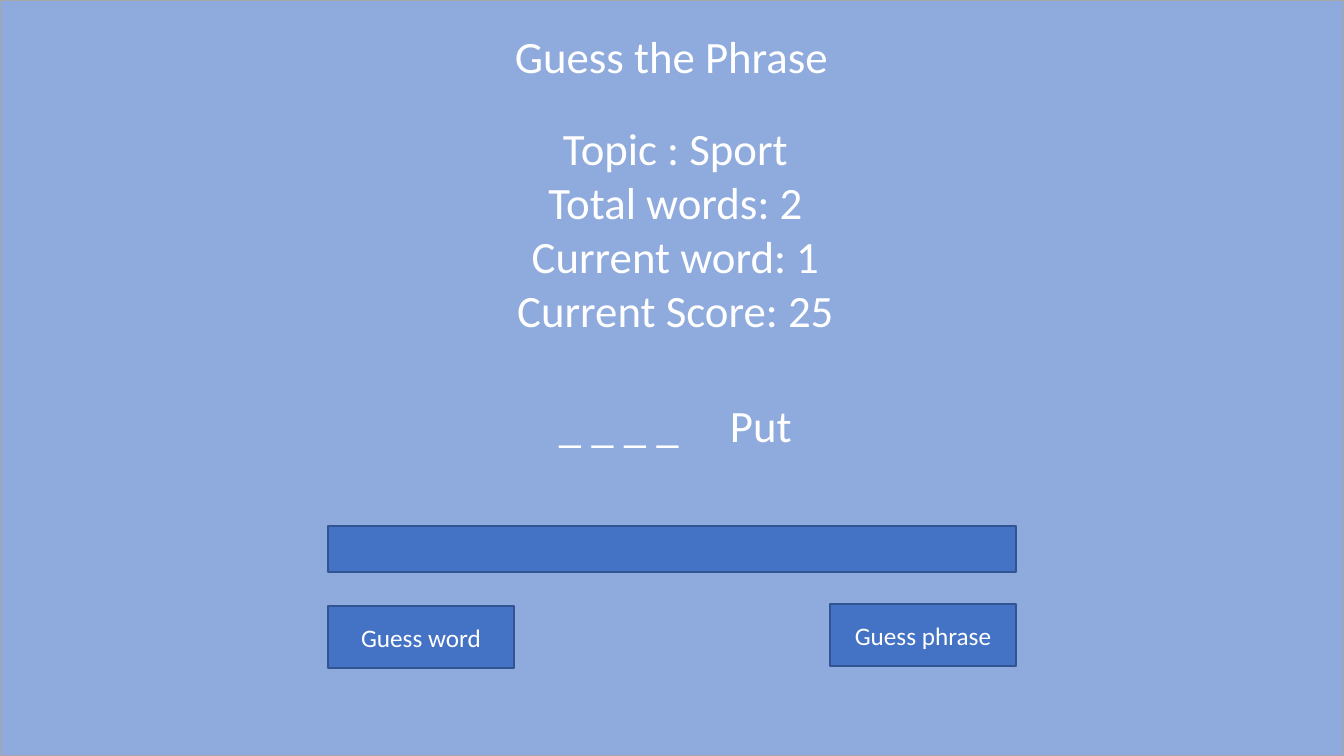
from dataclasses import dataclass

from lxml.etree import SubElement
from pptx import Presentation
from pptx.dml.color import RGBColor
from pptx.enum.shapes import MSO_SHAPE
from pptx.enum.text import MSO_ANCHOR, MSO_AUTO_SIZE, PP_ALIGN
from pptx.oxml.ns import qn
from pptx.shapes.autoshape import Shape
from pptx.slide import Slide
from pptx.util import Pt

SCALE = 914400 / 100.8
WIDTH, HEIGHT = 1344, 756
FONT = "Calibri"
WHITE = "FFFFFF"


@dataclass(frozen=True)
class Box:
    left: int
    top: int
    width: int
    height: int
    text: str = ""
    fill: str = "4472C4"
    line: str = "325491"


PANEL = Box(0, 0, WIDTH, HEIGHT, fill="8FAADC", line="A6A6A6")
TITLE = Box(419, 24, 505, 65, "Guess the Phrase")
STATUS = Box(423, 116, 505, 228,
             "Topic : Sport\nTotal words: 2\nCurrent word: 1\nCurrent Score: 25")
PHRASE = Box(375, 393, 601, 65, "_ _ _ _\tPut")
INPUTS = [
    Box(328, 526, 688, 46),
    Box(328, 606, 186, 62, "Guess word"),
    Box(830, 604, 186, 62, "Guess phrase"),
]
BLANKS, ANSWER = 559, 730


def px(size: int) -> int:
    return round(size * SCALE)


def color(code: str) -> RGBColor:
    return RGBColor.from_string(code)


def area(box: Box) -> tuple[int, ...]:
    return tuple(px(n) for n in (box.left, box.top, box.width, box.height))


def write(shape: Shape, text: str, size: int, anchor: MSO_ANCHOR) -> None:
    frame = shape.text_frame
    frame.text = text
    frame.word_wrap = True
    frame.auto_size = MSO_AUTO_SIZE.NONE
    frame.vertical_anchor = anchor
    for line in frame.paragraphs:
        line.alignment = PP_ALIGN.CENTER
        line.font.name = FONT
        line.font.size = Pt(size)
        line.font.color.rgb = color(WHITE)


def draw(slide: Slide, box: Box) -> None:
    shape = slide.shapes.add_shape(MSO_SHAPE.RECTANGLE, *area(box))
    shape.shadow.inherit = False
    shape.fill.solid()
    shape.fill.fore_color.rgb = color(box.fill)
    shape.line.color.rgb = color(box.line)
    shape.line.width = Pt(1)
    if box.text:
        write(shape, box.text, 18, MSO_ANCHOR.MIDDLE)


def label(slide: Slide, box: Box) -> Shape:
    shape = slide.shapes.add_textbox(*area(box))
    write(shape, box.text, 32, MSO_ANCHOR.TOP)
    return shape


def head(slide: Slide, box: Box) -> None:
    title = slide.shapes.title
    title.left, title.top, title.width, title.height = area(box)
    write(title, box.text, 32, MSO_ANCHOR.TOP)
    slide.shapes.element.append(title.element)


def align(shape: Shape, start: int, stop: int) -> None:
    frame = shape.text_frame
    frame.margin_left = px(start) - shape.left
    line = frame.paragraphs[0]
    line.alignment = PP_ALIGN.LEFT
    tabs = SubElement(line._p.get_or_add_pPr(), qn("a:tabLst"))
    SubElement(tabs, qn("a:tab"), pos=str(px(stop - start)), algn="l")
    props = tabs.getparent()
    props.insert_element_before(tabs, "a:defRPr", "a:extLst")


def main() -> None:
    deck = Presentation()
    deck.slide_width, deck.slide_height = px(WIDTH), px(HEIGHT)
    slide = deck.slides.add_slide(deck.slide_layouts[5])
    draw(slide, PANEL)
    head(slide, TITLE)
    label(slide, STATUS)
    align(label(slide, PHRASE), BLANKS, ANSWER)
    for box in INPUTS:
        draw(slide, box)
    deck.save("out.pptx")


if __name__ == "__main__":
    main()
